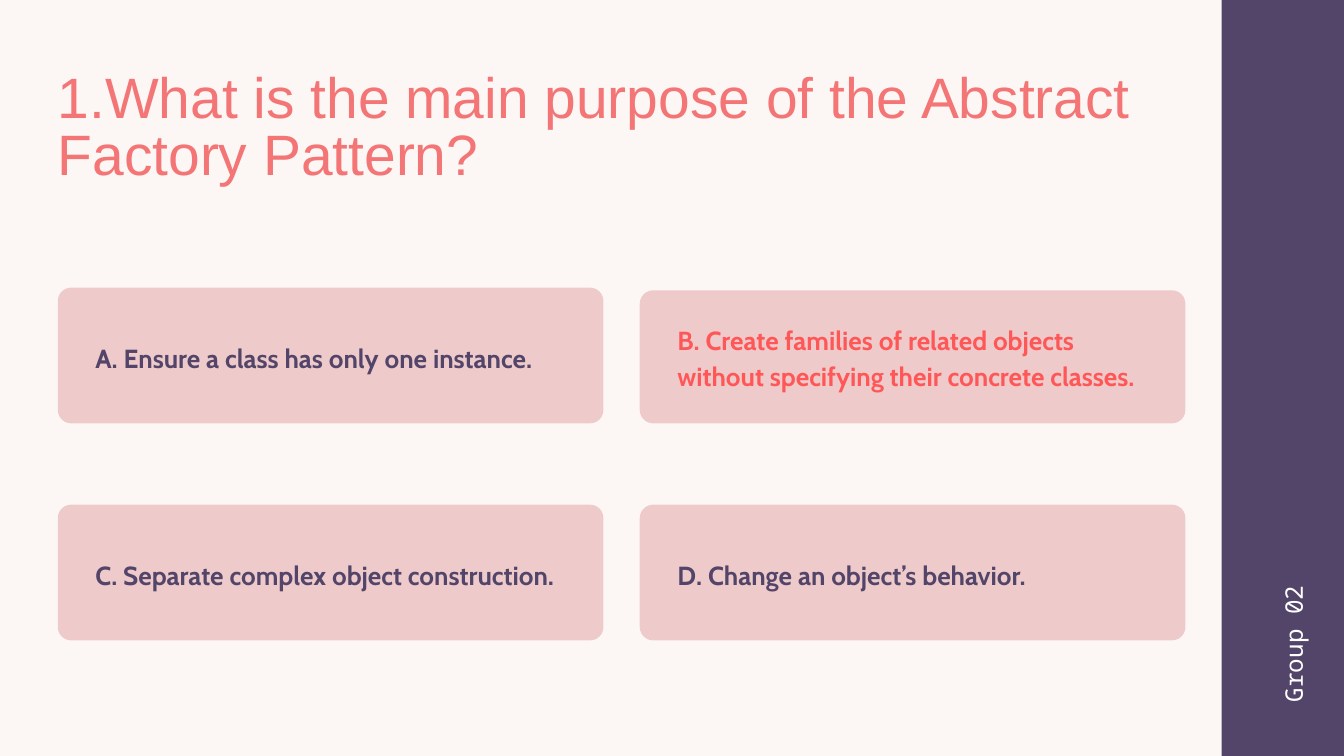
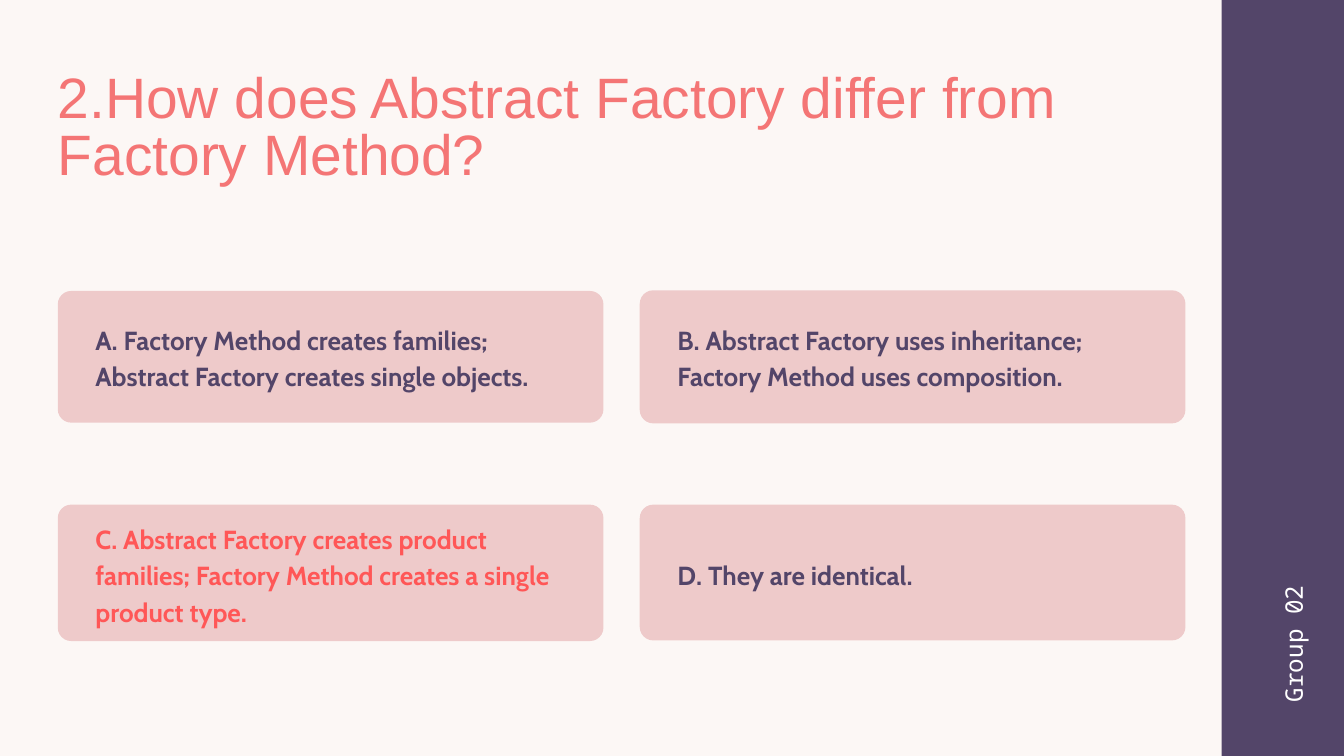
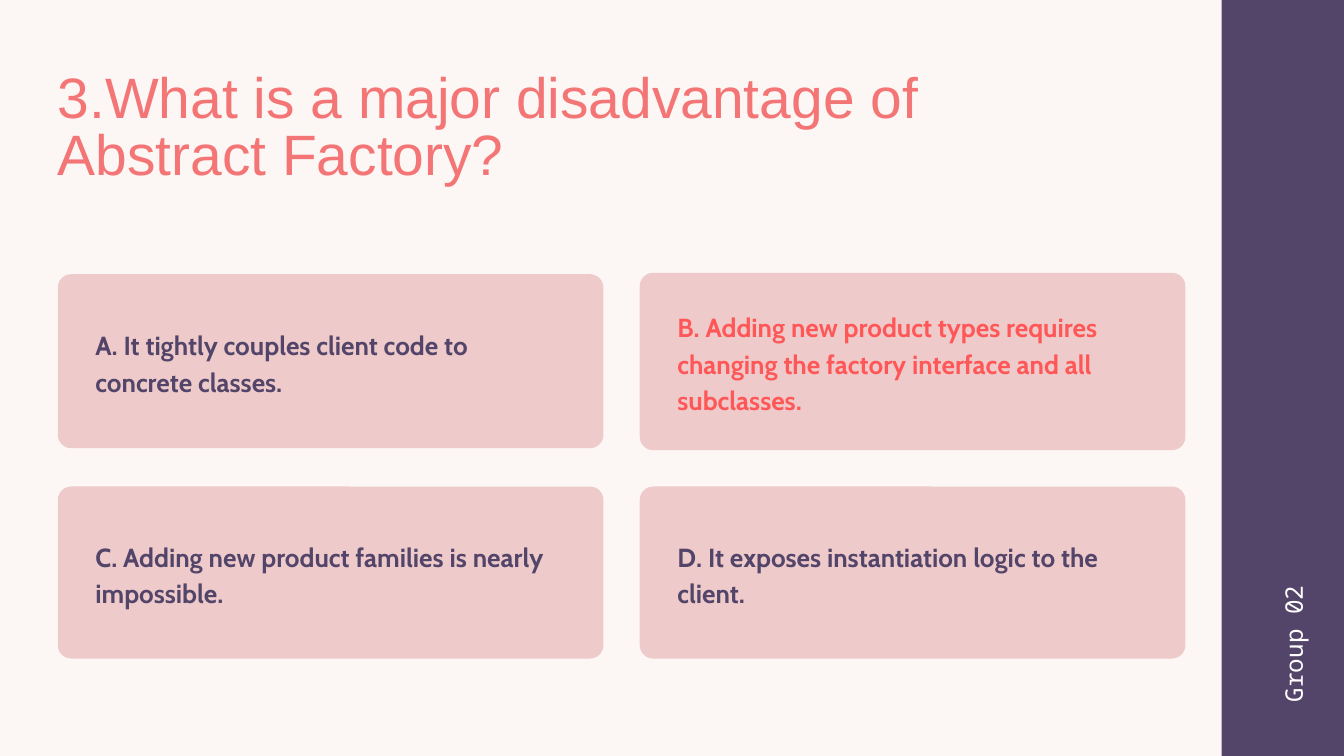
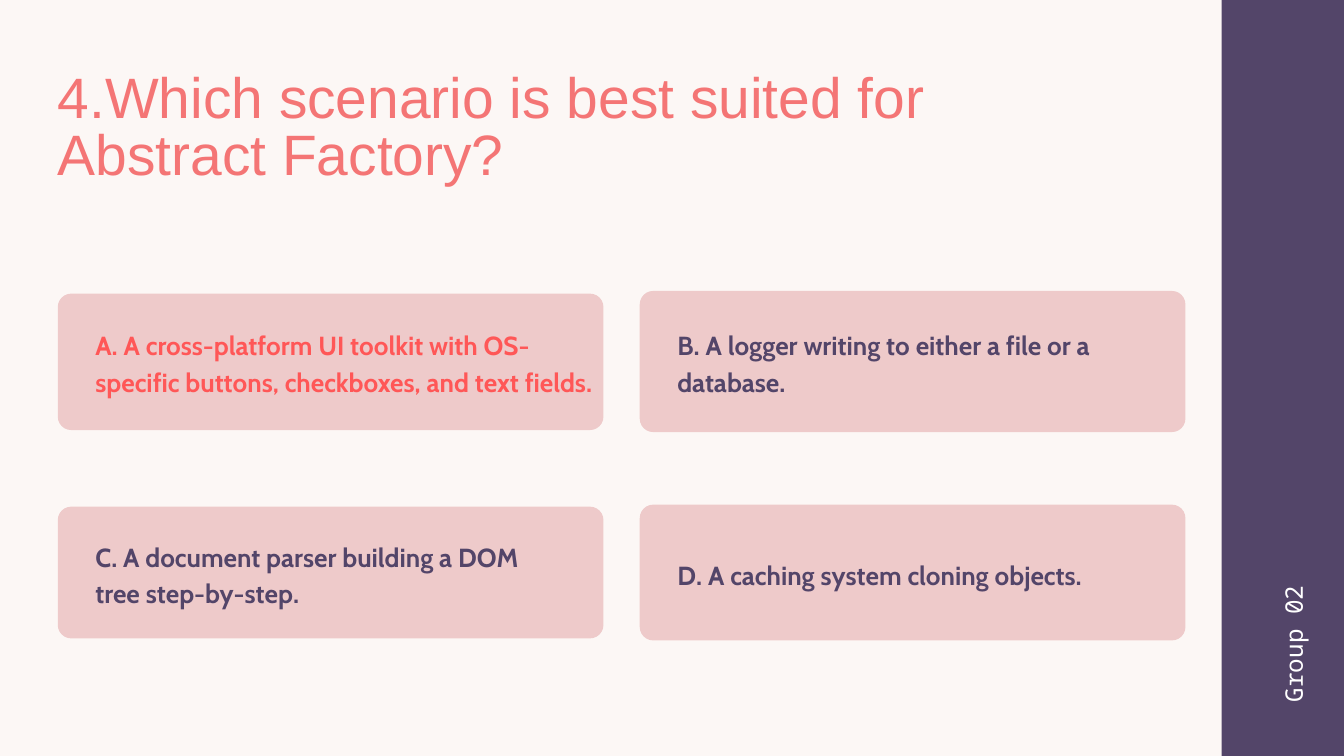
from dataclasses import dataclass

from pptx import Presentation
from pptx.dml.color import RGBColor
from pptx.enum.shapes import MSO_SHAPE
from pptx.enum.text import MSO_AUTO_SIZE
from pptx.util import Emu, Inches, Pt

COLORS = {
    "paper": "FCF7F5",
    "card": "EECACA",
    "plum": "534569",
    "coral": "F47575",
    "correct": "FF5757",
    "white": "FFFFFF",
}

# Slide grid
SLIDE_WIDTH, SLIDE_HEIGHT = Inches(20), Inches(11.25)
GRID_COLUMNS, GRID_ROWS = 20, 11.25

# Answer cards: two per line, all sharing one width and one text inset
MARGIN = 0.86
CARD_WIDTH = 8.12
CARD_STEP = 8.66
CARD_RADIUS = 0.2
ANSWER_INSET = 0.56
ANSWER_LINE = 0.54
LINE_TRIM = 0.03


@dataclass(frozen=True)
class TextStyle:
    font: str
    size: float
    spacing: float
    color: str
    bold: bool = False


@dataclass(frozen=True)
class Area:
    """A place on the grid, in columns and rows."""
    left: float
    top: float
    width: float
    height: float

    def emu(self) -> tuple[Emu, Emu, Emu, Emu]:
        return (cols(self.left), rows(self.top), cols(self.width), rows(self.height))


@dataclass(frozen=True)
class Answer:
    text: str
    top: float
    height: float
    lines: int = 1
    text_width: float = 7


@dataclass(frozen=True)
class Question:
    title: str
    correct: int
    line_centers: tuple[float, float]
    answers: tuple[Answer, Answer, Answer, Answer]


TITLE_STYLE = TextStyle("Arial", 61, 61, "coral")
ANSWER_STYLE = TextStyle("Cabin", 28, 39.2, "plum", bold=True)
CORRECT_STYLE = TextStyle("Cabin", 28, 39.2, "correct", bold=True)
GROUP_STYLE = TextStyle("Noto Sans Mono", 26, 33.8, "white")

TITLE_AREA = Area(MARGIN, 1.09, 16.03, 1.72)
SIDEBAR_AREA = Area(18.18, -0.06, 3.14, 12.03)
GROUP_AREA = Area(18.3, 9.31, 1.83, 0.45)

QUESTIONS = (
    Question("1.What is the main purpose of the Abstract Factory Pattern?", 1, (5.27, 8.5), (
        Answer("A. Ensure a class has only one instance.", 4.28, 2.02),
        Answer("B. Create families of related objects without specifying their concrete classes.",
               4.32, 1.98, lines=2),
        Answer("C. Separate complex object construction.", 7.51, 2.02),
        Answer("D. Change an object’s behavior.", 7.51, 2.02),
    )),
    Question("2.How does Abstract Factory differ from Factory Method?", 2, (5.27, 8.5), (
        Answer("A. Factory Method creates families; Abstract Factory creates single objects.",
               4.33, 1.96, lines=2),
        Answer("B. Abstract Factory uses inheritance; Factory Method uses composition.",
               4.32, 1.98, lines=2),
        Answer("C. Abstract Factory creates product families; Factory Method creates "
               "a single product type.", 7.51, 2.03, lines=3),
        Answer("D. They are identical.", 7.51, 2.02),
    )),
    Question("3.What is a major disadvantage of Abstract Factory?", 1, (5.35, 8.5), (
        Answer("A. It tightly couples client code to concrete classes.", 4.08, 2.59, lines=2),
        Answer("B. Adding new product types requires changing the factory interface "
               "and all subclasses.", 4.06, 2.64, lines=3),
        Answer("C. Adding new product families is nearly impossible.", 7.24, 2.56, lines=2),
        Answer("D. It exposes instantiation logic to the client.", 7.24, 2.56, lines=2),
    )),
    Question("4.Which scenario is best suited for Abstract Factory?", 0, (5.35, 8.5), (
        Answer("A. A cross-platform UI toolkit with OS-specific buttons, checkboxes, "
               "and text fields.", 4.37, 2.03, lines=2, text_width=7.56),
        Answer("B. A logger writing to either a file or a database.", 4.33, 2.1, lines=2),
        Answer("C. A document parser building a DOM tree step-by-step.", 7.54, 1.96, lines=2),
        Answer("D. A caching system cloning objects.", 7.51, 2.02),
    )),
)


def cols(count: float) -> Emu:
    return Emu(round(SLIDE_WIDTH * count / GRID_COLUMNS))


def rows(count: float) -> Emu:
    return Emu(round(SLIDE_HEIGHT * count / GRID_ROWS))


def rgb(name: str) -> RGBColor:
    return RGBColor.from_string(COLORS[name])


def draw_block(shapes, kind: MSO_SHAPE, area: Area, color: str):
    block = shapes.add_shape(kind, *area.emu())
    block.shadow.inherit = False
    block.fill.solid()
    block.fill.fore_color.rgb = rgb(color)
    block.line.fill.background()
    return block


def draw_text(shapes, text: str, area: Area, style: TextStyle, rotation: float = 0) -> None:
    box = shapes.add_textbox(*area.emu())
    box.rotation = rotation
    frame = box.text_frame
    frame.margin_left = frame.margin_right = frame.margin_top = frame.margin_bottom = 0
    frame.word_wrap = True
    frame.auto_size = MSO_AUTO_SIZE.SHAPE_TO_FIT_TEXT
    frame.text = text
    paragraph = frame.paragraphs[0]
    paragraph.line_spacing = Pt(style.spacing)
    font = paragraph.runs[0].font
    font.name, font.size, font.bold = style.font, Pt(style.size), style.bold
    font.color.rgb = rgb(style.color)


def draw_answer(slide, answer: Answer, column: int, center: float, style: TextStyle) -> None:
    left = MARGIN + column * CARD_STEP
    text_height = answer.lines * ANSWER_LINE - LINE_TRIM
    text_area = Area(left + ANSWER_INSET, center - text_height / 2,
                     answer.text_width, text_height)
    group = slide.shapes.add_group_shape()
    card = draw_block(group.shapes, MSO_SHAPE.ROUNDED_RECTANGLE,
                      Area(left, answer.top, CARD_WIDTH, answer.height), "card")
    card.adjustments[0] = CARD_RADIUS / answer.height
    draw_text(group.shapes, answer.text, text_area, style)


def draw_question(slide, question: Question) -> None:
    slide.background.fill.solid()
    slide.background.fill.fore_color.rgb = rgb("paper")

    # Sidebar with the group's name
    draw_block(slide.shapes, MSO_SHAPE.RECTANGLE, SIDEBAR_AREA, "plum")
    draw_text(slide.shapes, "Group 02", GROUP_AREA, GROUP_STYLE, rotation=270)

    # Question and its four answers
    draw_text(slide.shapes, question.title, TITLE_AREA, TITLE_STYLE)
    for index, answer in enumerate(question.answers):
        line, column = divmod(index, 2)
        style = CORRECT_STYLE if index == question.correct else ANSWER_STYLE
        draw_answer(slide, answer, column, question.line_centers[line], style)


def main() -> None:
    quiz = Presentation()
    quiz.slide_width, quiz.slide_height = SLIDE_WIDTH, SLIDE_HEIGHT
    blank = quiz.slide_layouts[6]
    for question in QUESTIONS:
        draw_question(quiz.slides.add_slide(blank), question)
    quiz.save("out.pptx")


if __name__ == "__main__":
    main()
